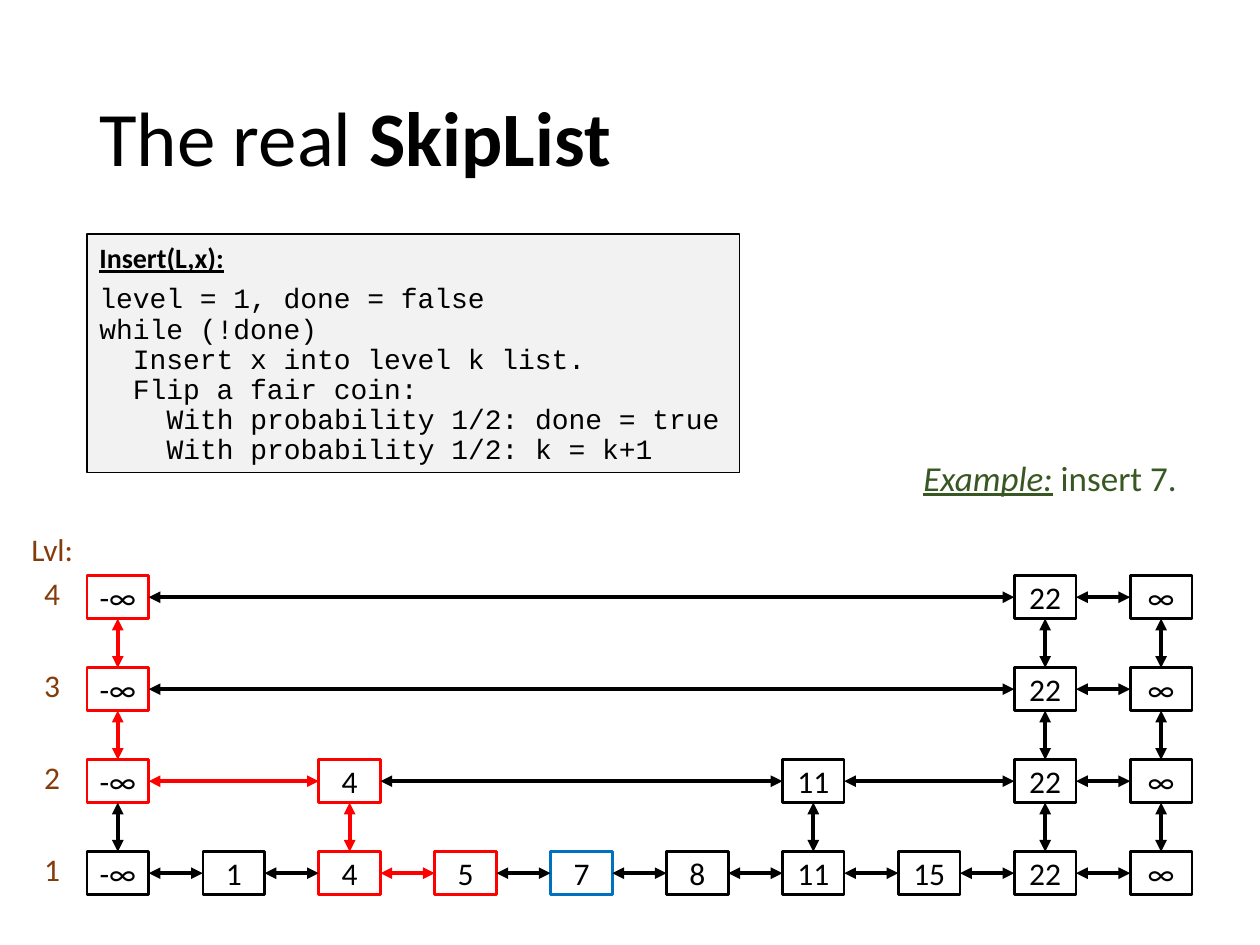
from itertools import pairwise

from lxml import etree
from pptx import Presentation
from pptx.dml.color import RGBColor
from pptx.enum.shapes import MSO_CONNECTOR, MSO_SHAPE
from pptx.enum.text import MSO_ANCHOR, PP_ALIGN
from pptx.oxml.ns import qn
from pptx.util import Inches, Pt

RECTANGLE = MSO_SHAPE.RECTANGLE
STRAIGHT = MSO_CONNECTOR.STRAIGHT
LEFT, CENTER = PP_ALIGN.LEFT, PP_ALIGN.CENTER
TOP, MIDDLE = MSO_ANCHOR.TOP, MSO_ANCHOR.MIDDLE
TOP_SITE, LEFT_SITE, BOTTOM_SITE, RIGHT_SITE = range(4)

THEME = {
    "body": "Calibri", "code": "Courier New",
    "black": RGBColor(0x00, 0x00, 0x00), "red": RGBColor(0xFF, 0x00, 0x00),
    "blue": RGBColor(0x00, 0x70, 0xC0), "green": RGBColor(0x38, 0x57, 0x23),
    "brown": RGBColor(0x84, 0x3C, 0x0B), "panel": RGBColor(0xF2, 0xF2, 0xF2),
    "title_size": 44, "example_size": 20, "node_size": 18, "code_size": 16,
}

deck = Presentation()
deck.slide_width, deck.slide_height = Inches(10), Inches(7.5)
page = deck.slides.add_slide(deck.slide_layouts[6])


def write(para, text, size="node_size", color="black", font="body",
          align=LEFT, bold=False, italic=False, underline=False):
    """Add one formatted span of text to a paragraph."""
    para.alignment = align
    span = para.add_run()
    span.text = text
    span.font.name = THEME[font]
    span.font.size = Pt(THEME[size])
    span.font.color.rgb = THEME[color]
    span.font.bold, span.font.italic, span.font.underline = bold, italic, underline


def link(first, first_site, second, second_site, color):
    """Join two boxes with a double-headed arrow."""
    arrow = page.shapes.add_connector(STRAIGHT, 0, 0, 0, 0)
    arrow.begin_connect(first, first_site)
    arrow.end_connect(second, second_site)
    arrow.line.color.rgb = THEME[color]
    arrow.line.width = Pt(2.25)
    outline = arrow.line._get_or_add_ln()
    for end in ("a:headEnd", "a:tailEnd"):
        etree.SubElement(outline, qn(end), type="triangle")
    etree.SubElement(arrow._element.spPr, qn("a:effectLst"))


# Title
title = page.shapes.add_textbox(Inches(0.69), Inches(0.4), Inches(8.62), Inches(1.45))
title.text_frame.word_wrap = True
title.text_frame.vertical_anchor = MIDDLE
para = title.text_frame.paragraphs[0]
para.line_spacing = 0.9
write(para, "The real ", size="title_size")
write(para, "SkipList", size="title_size", bold=True)

# Pseudocode panel
panel = page.shapes.add_shape(RECTANGLE, Inches(0.69), Inches(1.86), Inches(5.18), Inches(1.89))
panel.shadow.inherit = False
panel.fill.solid()
panel.fill.fore_color.rgb = THEME["panel"]
panel.line.color.rgb = THEME["black"]
panel.line.width = Pt(1)
frame = panel.text_frame
frame.word_wrap = True
frame.vertical_anchor = TOP
para = frame.paragraphs[0]
para.space_after = Pt(6)
write(para, "Insert(L,x):", size="code_size", bold=True, underline=True)
CODE = [
    (0, "level = 1, done = false"),
    (0, "while (!done)"),
    (1, "Insert x into level k list."),
    (1, "Flip a fair coin:"),
    (2, "With probability 1/2: done = true"),
    (2, "With probability 1/2: k = k+1"),
]
INDENT = Pt(19.2)  # two characters of the code font
for depth, text in CODE:
    para = frame.add_paragraph()
    para.line_spacing = 0.9
    write(para, text, size="code_size", font="code")
    para._p.get_or_add_pPr().set("marL", str(depth * INDENT))

# Example caption
example = page.shapes.add_textbox(Inches(7.23), Inches(3.57), Inches(2.23), Inches(0.44))
para = example.text_frame.paragraphs[0]
example.text_frame.word_wrap = False
write(para, "Example:", size="example_size", color="green", italic=True, underline=True)
write(para, " insert 7.", size="example_size", color="green")

# Skip list: columns are keys, rows are levels
KEYS = ["-∞", "1", "4", "5", "7", "8", "11", "15", "22", "∞"]
LEVELS = {
    4: ["-∞", "22", "∞"],
    3: ["-∞", "22", "∞"],
    2: ["-∞", "4", "11", "22", "∞"],
    1: KEYS,
}
SEARCH_PATH = {(4, "-∞"), (3, "-∞"), (2, "-∞"), (2, "4"), (1, "4"), (1, "5")}
INSERTED = (1, "7")
COLUMN_STEP, ROW_STEP = 0.92, 0.73

labels = [("Lvl:", 0.15, 4.16, 0.54, LEFT)]
nodes = {}
for level, keys in LEVELS.items():
    top = 4.57 + (4 - level) * ROW_STEP
    labels.append((str(level), 0.25, top - 0.06, 0.33, CENTER))
    for key in keys:
        left = 0.69 + KEYS.index(key) * COLUMN_STEP
        box = page.shapes.add_shape(RECTANGLE, Inches(left), Inches(top), Inches(0.49), Inches(0.34))
        box.shadow.inherit = False
        box.fill.background()
        place = (level, key)
        color = "red" if place in SEARCH_PATH else "blue" if place == INSERTED else "black"
        box.line.color.rgb = THEME[color]
        box.line.width = Pt(1.5)
        box.text_frame.vertical_anchor = MIDDLE
        write(box.text_frame.paragraphs[0], key, align=CENTER)
        nodes[place] = box

for text, left, top, width, align in labels:
    label = page.shapes.add_textbox(Inches(left), Inches(top), Inches(width), Inches(0.4))
    label.text_frame.word_wrap = False
    write(label.text_frame.paragraphs[0], text, color="brown", align=align)

# Links: a link is on the search path when both of its ends are
links = []
for level, keys in LEVELS.items():
    for key, following in pairwise(keys):
        links.append(((level, key), RIGHT_SITE, (level, following), LEFT_SITE))
    if level > 1:
        for key in keys:
            links.append(((level, key), BOTTOM_SITE, (level - 1, key), TOP_SITE))
for first, first_site, second, second_site in links:
    color = "red" if {first, second} <= SEARCH_PATH else "black"
    link(nodes[first], first_site, nodes[second], second_site, color)

deck.save("out.pptx")
